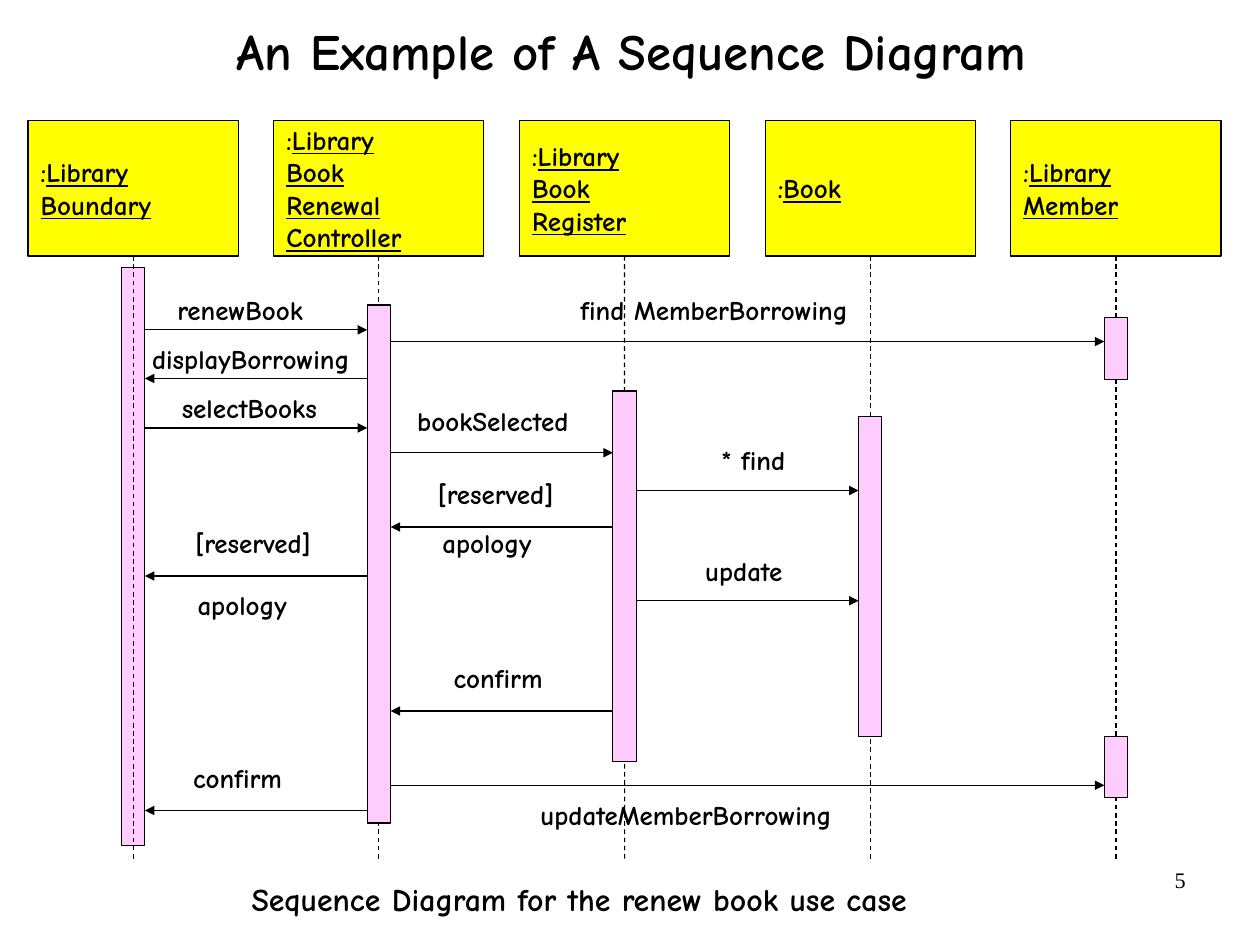
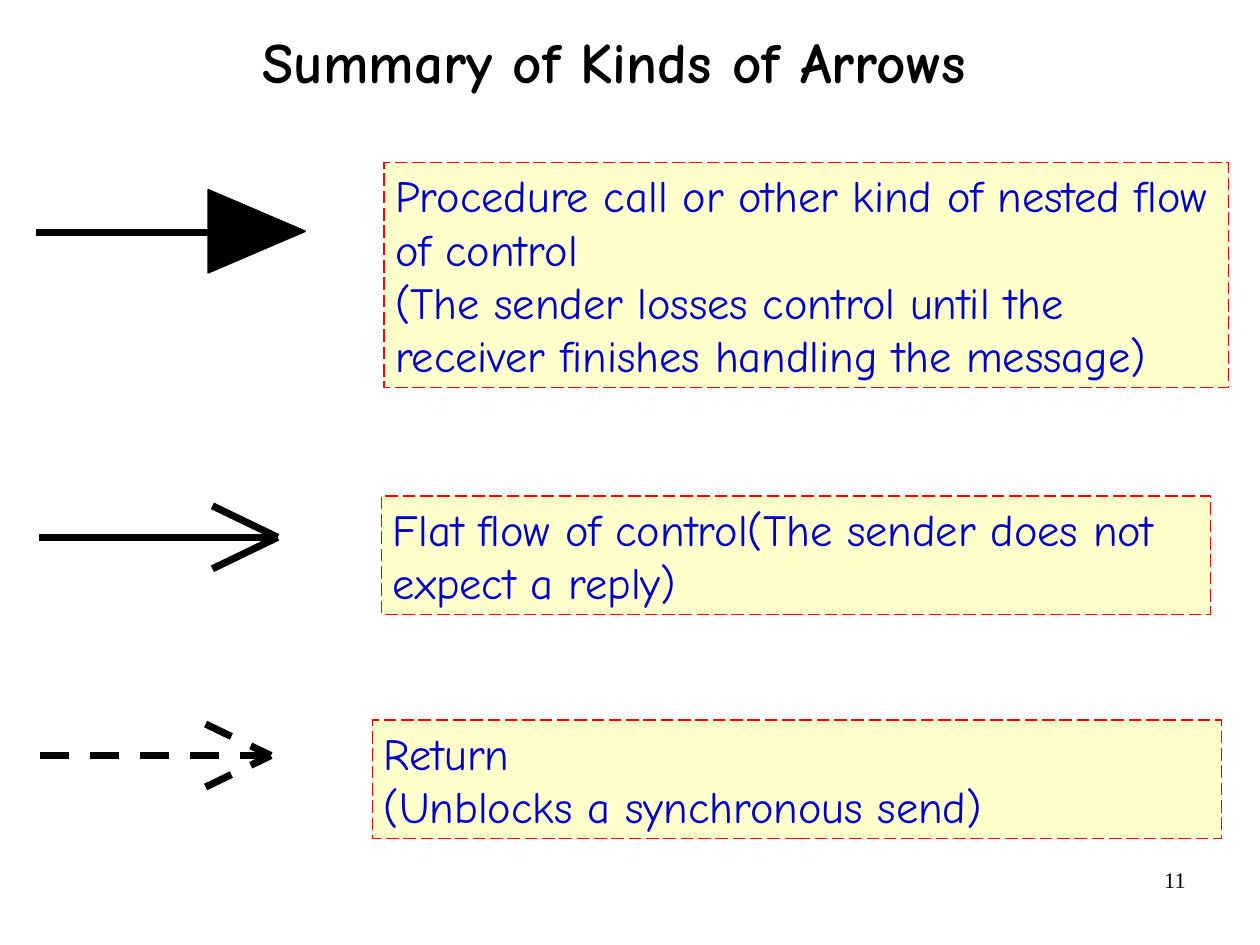
from dataclasses import dataclass
from typing import Optional

import lxml.etree
import pptx
import pptx.dml.color
import pptx.enum.dml
import pptx.enum.shapes
import pptx.enum.text
import pptx.oxml.ns
import pptx.util

Cm = pptx.util.Cm
Pt = pptx.util.Pt
qn = pptx.oxml.ns.qn
Align = pptx.enum.text.PP_ALIGN
Anchor = pptx.enum.text.MSO_ANCHOR
AutoSize = pptx.enum.text.MSO_AUTO_SIZE
Dash = pptx.enum.dml.MSO_LINE
Preset = pptx.enum.shapes.MSO_SHAPE

COLORS = {
    "ink": "000000",
    "header": "FFFF00",
    "activation": "FFCCFF",
    "note": "FFFFCC",
    "note_border": "FF0000",
    "note_text": "0000CC",
}
FONT = "Comic Neue"
NUMBER_FONT = "Times New Roman"

LANE_START, LANE_STEP = 2.96, 5.46
HEADER_TOP, HEADER_WIDTH, HEADER_HEIGHT = 2.67, 4.67, 3.02
LIFELINE_BOTTOM = 19.1
ACTIVATION_WIDTH = 0.52
BARB_LENGTH, BARB_RISE = 1.45, 0.7


@dataclass(frozen=True)
class Area:
    left: float
    top: float
    width: float
    height: float

    def lengths(self) -> tuple:
        return Cm(self.left), Cm(self.top), Cm(self.width), Cm(self.height)


@dataclass(frozen=True)
class Activation:
    lane: int
    top: float
    height: float


@dataclass(frozen=True)
class Message:
    sender: int
    receiver: int
    y: float


@dataclass(frozen=True)
class Label:
    text: str
    left: float
    top: float
    width: float


@dataclass(frozen=True)
class OpenArrow:
    start: float
    tip: float
    y: float
    dash: Optional[Dash] = None


@dataclass(frozen=True)
class Note:
    text: str
    area: Area


PARTICIPANTS = [
    "Library\nBoundary",
    "Library\nBook\nRenewal\nController",
    "Library\nBook\nRegister",
    "Book",
    "Library\nMember",
]
BOUNDARY_ACTIVATION = Activation(0, 5.94, 12.85)
ACTIVATIONS = [
    Activation(1, 6.78, 11.51),
    Activation(2, 8.69, 8.23),
    Activation(3, 9.25, 7.11),
    Activation(4, 7.06, 1.37),
    Activation(4, 16.36, 1.37),
]
MESSAGES = [
    Message(0, 1, 7.33),
    Message(1, 4, 7.59),
    Message(1, 0, 8.41),
    Message(0, 1, 9.51),
    Message(1, 2, 10.06),
    Message(2, 3, 10.9),
    Message(2, 1, 11.71),
    Message(1, 0, 12.8),
    Message(2, 3, 13.35),
    Message(2, 1, 15.8),
    Message(1, 4, 17.45),
    Message(1, 0, 18.01),
]
LABELS = [
    Label("renewBook", 3.94, 6.53, 2.82),
    Label("displayBorrowing", 3.38, 7.62, 4.39),
    Label("selectBooks", 4.04, 8.71, 3),
    Label("[reserved]", 4.34, 11.71, 2.59),
    Label("apology", 4.39, 13.08, 1.98),
    Label("confirm", 4.29, 16.92, 1.98),
    Label("find MemberBorrowing", 12.9, 6.53, 5.94),
    Label("bookSelected", 9.27, 8.99, 3.38),
    Label("* find", 16.03, 9.86, 1.42),
    Label("update", 15.67, 12.32, 1.73),
    Label("[reserved]", 9.73, 10.62, 2.59),
    Label("apology", 9.83, 11.71, 1.98),
    Label("confirm", 10.08, 14.71, 1.98),
    Label("updateMemberBorrowing", 12.01, 17.75, 6.5),
]
OPEN_ARROWS = [
    OpenArrow(0.86, 6.17, 11.94),
    OpenArrow(0.89, 6.02, 16.79, Dash.DASH),
]
NOTES = [
    Note(
        "Procedure call or other kind of nested flow of control\n"
        "(The sender losses control until the receiver finishes handling the message)",
        Area(8.53, 3.61, 18.77, 5),
    ),
    Note(
        "Flat flow of control(The sender does not expect a reply)",
        Area(8.48, 11.02, 18.42, 2.64),
    ),
    Note("Return\n(Unblocks a synchronous send)", Area(8.28, 16, 18.87, 2.64)),
]


def rgb(name: str) -> pptx.dml.color.RGBColor:
    return pptx.dml.color.RGBColor.from_string(COLORS[name])


def write_text(shape, text: str, *, size: float, font: str = FONT, color: str = "ink",
               bold: bool = False, underline: bool = False, prefix: str = "",
               align: Align = Align.LEFT, anchor: Anchor = Anchor.TOP,
               insets: tuple = (0, 0), wrap: bool = True,
               spacing: float = 1.0) -> None:
    frame = shape.text_frame
    frame.auto_size = AutoSize.NONE
    frame.word_wrap = wrap
    frame.vertical_anchor = anchor
    frame.margin_left = frame.margin_right = Cm(insets[0])
    frame.margin_top = frame.margin_bottom = Cm(insets[1])
    for index, line in enumerate(text.split("\n")):
        paragraph = frame.add_paragraph() if index else frame.paragraphs[0]
        paragraph.alignment = align
        paragraph.line_spacing = spacing
        parts = [(line, underline)]
        if prefix and index == 0:
            parts.insert(0, (prefix, False))
        for words, underlined in parts:
            run = paragraph.add_run()
            run.text = words
            run.font.name = font
            run.font.size = Pt(size)
            run.font.bold = bold
            run.font.underline = underlined
            run.font.color.rgb = rgb(color)


def add_block(slide, area: Area, fill: str, *, border: str = "ink",
              border_width: float = 0.75, dash: Optional[Dash] = None,
              preset: Preset = Preset.RECTANGLE):
    block = slide.shapes.add_shape(preset, *area.lengths())
    block.shadow.inherit = False
    block.fill.solid()
    block.fill.fore_color.rgb = rgb(fill)
    block.line.color.rgb = rgb(border)
    block.line.width = Pt(border_width)
    if dash is not None:
        block.line.dash_style = dash
    return block


def add_line(slide, start: tuple, end: tuple, *, width: float = 0.75,
             dash: Optional[Dash] = None, arrow: bool = False):
    line = slide.shapes.add_connector(
        pptx.enum.shapes.MSO_CONNECTOR.STRAIGHT,
        Cm(start[0]), Cm(start[1]), Cm(end[0]), Cm(end[1]))
    line.line.color.rgb = rgb("ink")
    line.line.width = Pt(width)
    if dash is not None:
        line.line.dash_style = dash
    properties = line._element.spPr
    if arrow:
        lxml.etree.SubElement(properties.find(qn("a:ln")), qn("a:tailEnd"), type="triangle")
    lxml.etree.SubElement(properties, qn("a:effectLst"))
    return line


def add_caption(slide, area: Area, text: str, **text_format) -> None:
    write_text(slide.shapes.add_textbox(*area.lengths()), text, **text_format)


def add_titled_slide(deck, title: str, number: int, *, area: Area, size: float,
                     spacing: float):
    slide = deck.slides.add_slide(deck.slide_layouts[5])
    heading = slide.shapes.title
    heading.left, heading.top, heading.width, heading.height = area.lengths()
    write_text(heading, title, size=size, bold=True, align=Align.CENTER,
               anchor=Anchor.MIDDLE, spacing=spacing)
    add_caption(slide, Area(20.07, 19.13, 6.53, 1.45), str(number), size=14,
                font=NUMBER_FONT, align=Align.RIGHT, insets=(0.25, 0.13))
    return slide


def lane_center(lane: int) -> float:
    return LANE_START + lane * LANE_STEP


def add_activation(slide, activation: Activation) -> None:
    left = lane_center(activation.lane) - ACTIVATION_WIDTH / 2
    add_block(slide, Area(left, activation.top, ACTIVATION_WIDTH, activation.height),
              "activation")


def add_message(slide, message: Message) -> None:
    reach = ACTIVATION_WIDTH / 2
    if message.receiver < message.sender:
        reach = -reach
    add_line(slide, (lane_center(message.sender) + reach, message.y),
             (lane_center(message.receiver) - reach, message.y), arrow=True)


def build_sequence_slide(deck) -> None:
    slide = add_titled_slide(deck, "An Example of A Sequence Diagram", 5,
                             area=Area(1, 0, 26.08, 2.36), size=32, spacing=0.94)
    headers = []
    for lane, participant in enumerate(PARTICIPANTS):
        area = Area(lane_center(lane) - HEADER_WIDTH / 2, HEADER_TOP,
                    HEADER_WIDTH, HEADER_HEIGHT)
        header = add_block(slide, area, "header")
        write_text(header, participant, size=17, bold=True, underline=True, prefix=":",
                   anchor=Anchor.MIDDLE, insets=(0.28, 0.15))
        headers.append(header)
    add_activation(slide, BOUNDARY_ACTIVATION)
    for lane, header in enumerate(headers):
        lifeline = add_line(slide, (lane_center(lane), HEADER_TOP + HEADER_HEIGHT),
                            (lane_center(lane), LIFELINE_BOTTOM), dash=Dash.DASH)
        lifeline.begin_connect(header, 2)
    for activation in ACTIVATIONS:
        add_activation(slide, activation)
    for message in MESSAGES:
        add_message(slide, message)
    for label in LABELS:
        add_caption(slide, Area(label.left, label.top, label.width, 0.71), label.text,
                    size=17, bold=True, wrap=False)
    add_caption(slide, Area(5.59, 19.56, 14.63, 0.84),
                "Sequence Diagram for the renew book use case",
                size=20, bold=True, wrap=False)


def build_arrows_slide(deck) -> None:
    slide = add_titled_slide(deck, "Summary of Kinds of Arrows", 11,
                             area=Area(1.73, 0, 23.85, 2.9), size=36, spacing=0.88)
    add_line(slide, (0.81, 5.16), (6.53, 5.16), width=4.5)
    arrowhead = add_block(slide, Area(4.78, 4.06, 1.85, 2.16), "ink", border_width=1,
                          preset=Preset.ISOSCELES_TRIANGLE)
    arrowhead.rotation = 90
    for arrow in OPEN_ARROWS:
        barb = arrow.tip - BARB_LENGTH
        for start in ((arrow.start, arrow.y), (barb, arrow.y + BARB_RISE),
                      (barb, arrow.y - BARB_RISE)):
            add_line(slide, start, (arrow.tip, arrow.y), width=4.5, dash=arrow.dash)
    for note in NOTES:
        block = add_block(slide, note.area, "note", border="note_border",
                          border_width=1, dash=Dash.LONG_DASH)
        write_text(block, note.text, size=28, color="note_text", insets=(0.25, 0.13))


def main() -> None:
    deck = pptx.Presentation()
    deck.slide_width, deck.slide_height = Cm(28), Cm(21)
    build_sequence_slide(deck)
    build_arrows_slide(deck)
    deck.save("out.pptx")


if __name__ == "__main__":
    main()
